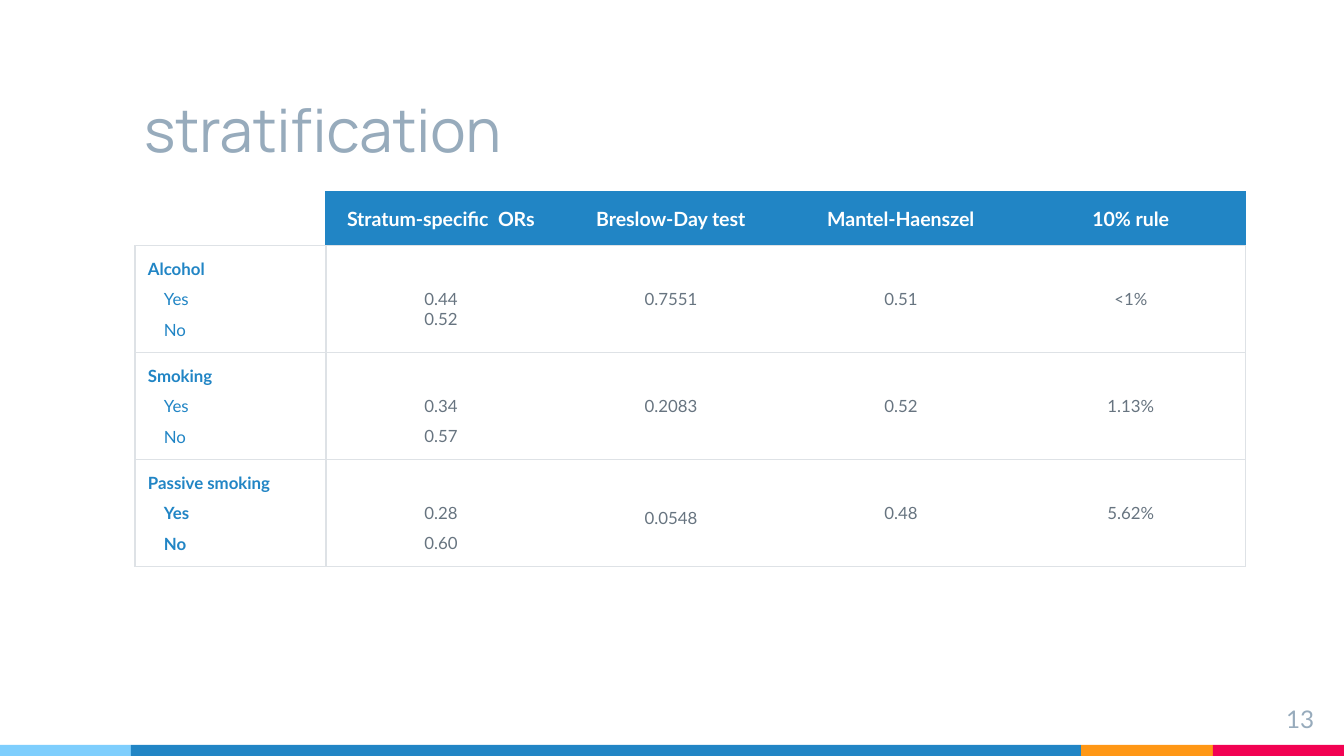
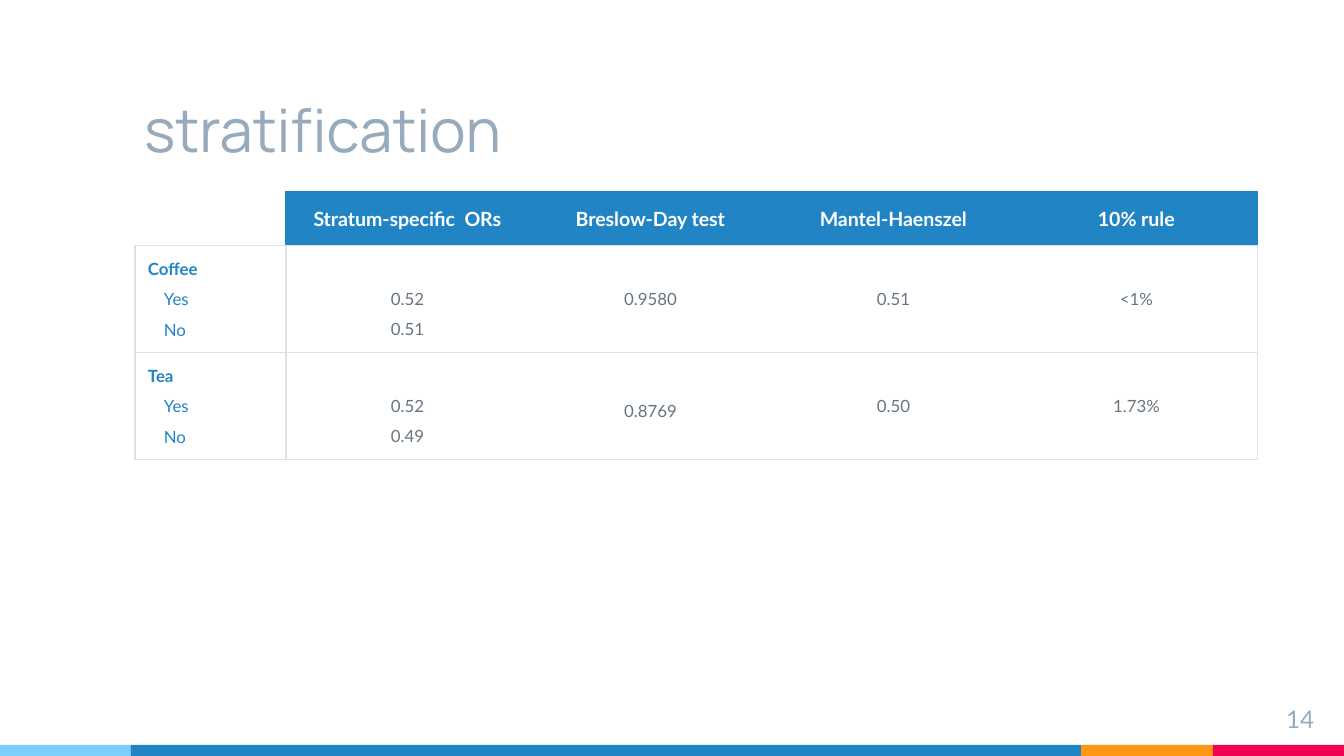
import pptx
import pptx.dml.color
import pptx.enum.shapes
import pptx.enum.text
import pptx.oxml
import pptx.oxml.ns
import pptx.util

BLUE, SKY, ORANGE, RED = "2185C5", "7ECEFD", "FF9715", "F20253"
HEADING, BODY, WHITE, GRID = "97ABBC", "677480", "FFFFFF", "DEE2E6"
ALIGN = pptx.enum.text.PP_ALIGN
ANCHOR = pptx.enum.text.MSO_ANCHOR
PAD, LINE = 13, 20
HEAD_H, ROW_H = 50, 107

TITLE_FONT = {"name": "Manrope", "size": pptx.util.Pt(32), "bold": False}
PAGE_FONT = {"name": "Lato", "size": pptx.util.Pt(13)}
HEAD_FONT = {"name": "Lato", "size": pptx.util.Pt(10.5), "bold": True}
CELL_FONT = {"name": "Lato", "size": pptx.util.Pt(9), "bold": False}
LABEL_FONT = CELL_FONT | {"bold": True}

BANDS = [(0, 131, SKY), (131, 950, BLUE), (1081, 132, ORANGE), (1213, 131, RED)]
HEADERS = ["Stratum-specific  ORs", "Breslow-Day test", "Mantel-Haenszel", "10% rule"]


def px(n):
    """Turn slide pixels into EMU."""
    return pptx.util.Inches(n / 134.4)


def rgb(color):
    """Turn a hex string into a colour."""
    return pptx.dml.color.RGBColor.from_string(color)


def assign(obj, values):
    """Set the attributes of an object from a dict."""
    for name, value in values.items():
        setattr(obj, name, value)


def pad(obj, top=PAD):
    """Set the inner margins of a cell or text frame."""
    assign(obj, {"margin_left": px(PAD), "margin_right": px(PAD),
                 "margin_top": px(top), "margin_bottom": px(PAD)})


def write(tf, lines, font, color, align=ALIGN.LEFT, spacing=1.0):
    """Write one paragraph per line and return the paragraphs."""
    for i, line in enumerate(lines):
        p = tf.paragraphs[0] if i == 0 else tf.add_paragraph()
        assign(p, {"alignment": align, "line_spacing": spacing})
        r = p.add_run()
        r.text = line
        assign(r.font, font)
        r.font.color.rgb = rgb(color)
    return tf.paragraphs


def edge(cell, **sides):
    """Draw the given sides (L, R, T, B) of a cell and clear the others."""
    tcPr = cell._tc.get_or_add_tcPr()
    ns = pptx.oxml.ns.nsdecls("a")
    for side in "LRTB":
        color = sides.get(side)
        fill = (f'<a:solidFill><a:srgbClr val="{color}"/></a:solidFill>'
                if color else "<a:noFill/>")
        tcPr.append(pptx.oxml.parse_xml(f'<a:ln{side} {ns} w="9525">{fill}</a:ln{side}>'))


def add_title(s, text, x, y, w, h):
    """Place and format the title placeholder."""
    sp = s.shapes.title
    assign(sp, {"left": px(x), "top": px(y), "width": px(w), "height": px(h)})
    tf = sp.text_frame
    assign(tf, {"vertical_anchor": ANCHOR.BOTTOM, "word_wrap": True,
                "auto_size": pptx.enum.text.MSO_AUTO_SIZE.NONE})
    pad(tf)
    write(tf, [text], TITLE_FONT, HEADING)


def add_bands(s, y, h):
    """Draw the coloured strip along the foot of the slide."""
    for x, w, color in BANDS:
        sp = s.shapes.add_shape(pptx.enum.shapes.MSO_SHAPE.RECTANGLE,
                                px(x), px(y), px(w), px(h))
        sp.shadow.inherit = False
        sp.fill.solid()
        sp.fill.fore_color.rgb = rgb(color)
        sp.line.fill.background()


def add_page_number(s, number, x, y, w, h):
    """Write the page number at the right of its box."""
    tf = s.shapes.add_textbox(px(x), px(y), px(w), px(h)).text_frame
    tf.word_wrap = True
    pad(tf)
    write(tf, [str(number)], PAGE_FONT, HEADING, ALIGN.RIGHT)


def fill_header(row):
    """Fill the header cells, leaving the corner empty."""
    corner, *cells = row.cells
    edge(corner, R=BLUE, B=GRID)
    corner.fill.background()
    for i, (cell, text) in enumerate(zip(cells, HEADERS)):
        edge(cell, T=BLUE, B=GRID, L=BLUE if i == 0 else None,
             R=BLUE if i == len(HEADERS) - 1 else None)
        cell.fill.solid()
        cell.fill.fore_color.rgb = rgb(BLUE)
        cell.vertical_anchor = ANCHOR.MIDDLE
        pad(cell)
        write(cell.text_frame, [text], HEAD_FONT, WHITE, ALIGN.CENTER)


def fill_stratum(row, name, ratios, values, ratio_gap=1.5, test_gap=1.0, bold=False):
    """Fill one stratum: its label, odds ratios and test values."""
    label, *cells = row.cells
    for cell in row.cells:
        cell.vertical_anchor = ANCHOR.MIDDLE
        pad(cell)
    edge(label, L=GRID, R=GRID, T=GRID, B=GRID)
    label.fill.background()
    head, *answers = write(label.text_frame, [name, "Yes", "No"], LABEL_FONT, BLUE)
    for p in answers:
        p.line_spacing = 1.5
        p.runs[0].font.bold = bold
        p._p.get_or_add_pPr().set("marL", str(px(16)))
    pad(cells[0], PAD + LINE)
    columns = [ratios] + [[value] for value in values]
    gaps = [ratio_gap, test_gap, 1.0, 1.0]
    for i, (cell, lines, gap) in enumerate(zip(cells, columns, gaps)):
        edge(cell, T=GRID, B=GRID, L=GRID if i == 0 else None,
             R=GRID if i == len(cells) - 1 else None)
        cell.fill.background()
        write(cell.text_frame, lines, CELL_FONT, BODY, ALIGN.CENTER, gap)


def add_strata_table(s, x, y, label_w, value_w, strata):
    """Build the table of strata at the given corner."""
    n = len(HEADERS)
    widths = [label_w] + [value_w] * n
    heights = [HEAD_H] + [ROW_H] * len(strata)
    table = s.shapes.add_table(len(heights), len(widths), px(x), px(y),
                               px(sum(widths)), px(sum(heights))).table
    assign(table, {"first_row": False, "horz_banding": False})
    for col, w in zip(table.columns, widths):
        col.width = px(w)
    for row, h in zip(table.rows, heights):
        row.height = px(h)
    header, *rows = table.rows
    fill_header(header)
    for row, stratum in zip(rows, strata):
        fill_stratum(row, **stratum)


def add_stratification_slide(prs, number, label_w, value_w, strata):
    """Add one stratification slide."""
    s = prs.slides.add_slide(prs.slide_layouts[5])
    add_bands(s, 745, 11)
    add_title(s, "stratification", 131, 52, 950, 126)
    add_page_number(s, number, 1246, 691, 81, 46)
    add_strata_table(s, 135, 192, label_w, value_w, strata)


def main():
    """Build and save the presentation."""
    prs = pptx.Presentation()
    assign(prs, {"slide_width": px(1344), "slide_height": px(756)})
    add_stratification_slide(prs, 13, 191, 230, [
        {"name": "Alcohol", "ratios": ["0.44", "0.52"],
         "values": ["0.7551", "0.51", "<1%"], "ratio_gap": 1.0},
        {"name": "Smoking", "ratios": ["0.34", "0.57"],
         "values": ["0.2083", "0.52", "1.13%"]},
        {"name": "Passive smoking", "ratios": ["0.28", "0.60"],
         "values": ["0.0548", "0.48", "5.62%"], "test_gap": 1.5, "bold": True},
    ])
    add_stratification_slide(prs, 14, 151, 243, [
        {"name": "Coffee", "ratios": ["0.52", "0.51"],
         "values": ["0.9580", "0.51", "<1%"]},
        {"name": "Tea", "ratios": ["0.52", "0.49"],
         "values": ["0.8769", "0.50", "1.73%"], "test_gap": 1.5},
    ])
    prs.save("out.pptx")


if __name__ == "__main__":
    main()
